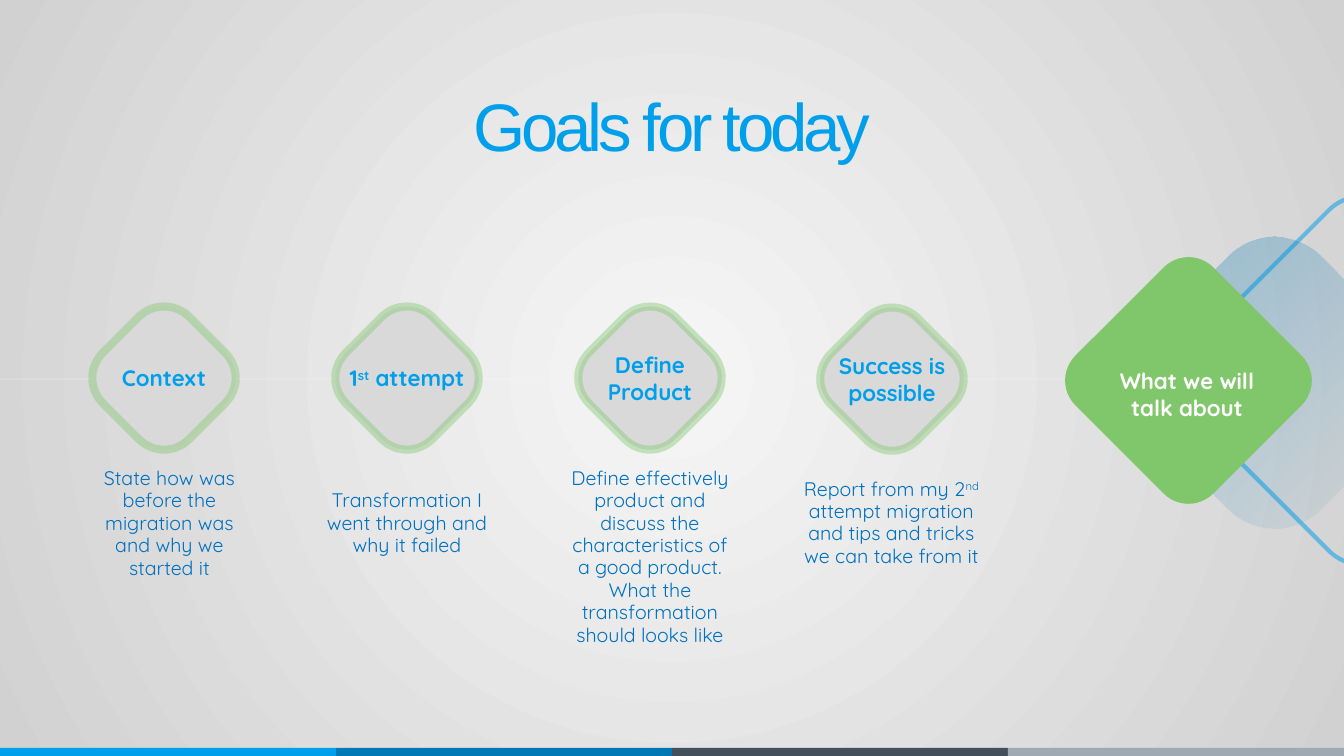
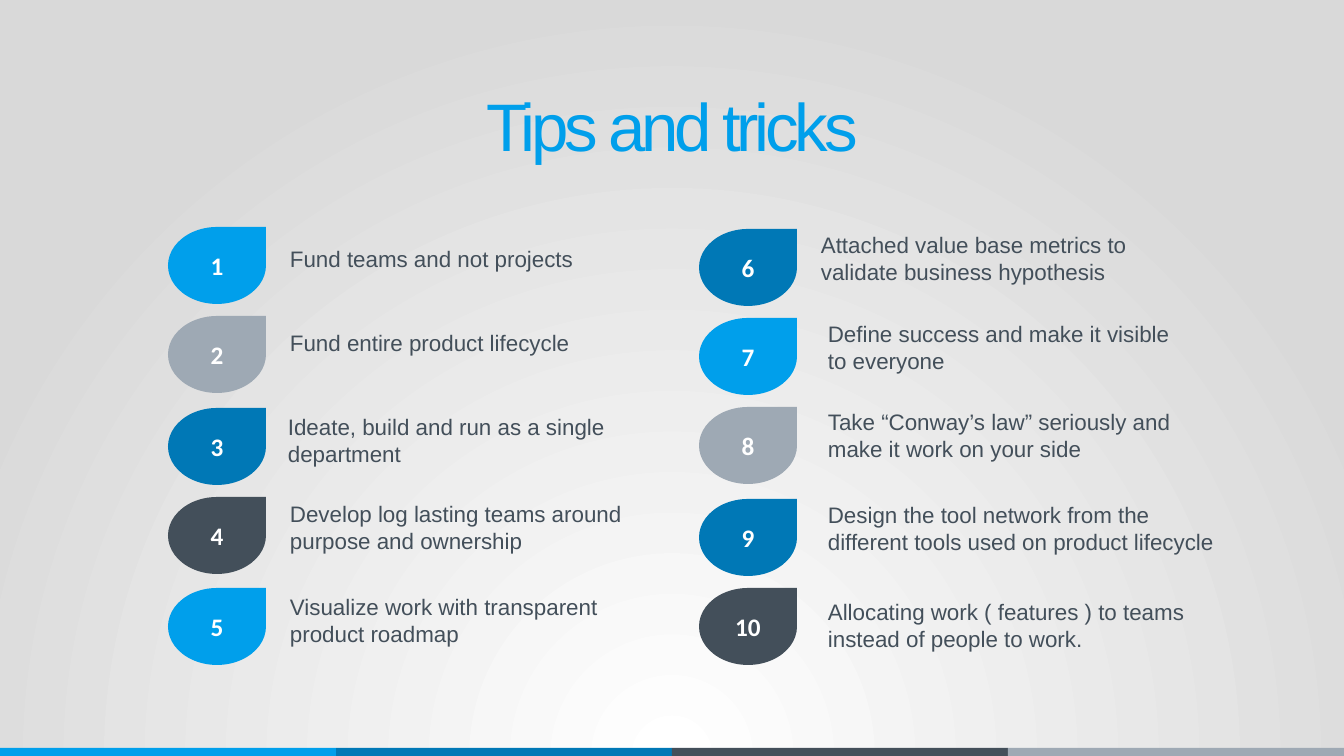
from lxml.etree import SubElement
from pptx import Presentation
from pptx.dml.color import RGBColor
from pptx.enum.shapes import MSO_CONNECTOR, MSO_SHAPE
from pptx.enum.text import MSO_ANCHOR, MSO_AUTO_SIZE, PP_ALIGN
from pptx.oxml.ns import qn
from pptx.util import Emu, Pt

# Shared measures and colours
SLIDE_W, SLIDE_H = 1344, 756
EMU_PER_PX = 12192000 / SLIDE_W
COLORS = {
    "sky": "009FEB", "blue": "0078B6", "slate": "434F5A", "silver": "9EA9B4",
    "green": "7FC76A", "caption": "0070C0", "node": "D9D9D9", "white": "FFFFFF",
    "pale": "F6F6F6", "gray": "D2D1D1", "edge": "D9D9D9",
}
BANDS = ["sky", "blue", "slate", "silver"]

# Goals: node label and centre, then caption left, top, width, height and text;
# ^ marks superscript
NODE_SIZE = 143
GOALS = [
    ("Context", (164, 378), (78, 461, 183, 124),
     "State how was before the migration was and why we started it"),
    ("1^st^ attempt", (407, 378), (298, 484, 218, 78),
     "Transformation I went through and why it failed"),
    ("Define Product", (650, 378), (555, 461, 190, 191),
     "Define effectively product and discuss the characteristics of a good product. "
     "What the transformation should looks like"),
    ("Success is possible", (892, 379), (788, 472, 207, 101),
     "Report from my 2^nd^ attempt migration and tips and tricks we can take from it"),
]

# Tips: drop top and colour, then text left, top, width and wording
DROP_W, DROP_H = 98, 77
TIP_COLUMNS = [
    (168, [
        (227, "sky", 280, 240, 380, "Fund teams and not projects"),
        (316, "silver", 280, 324, 380, "Fund entire product lifecycle"),
        (408, "blue", 278, 408, 367, "Ideate, build and run as a single department"),
        (497, "slate", 280, 495, 380,
         "Develop log lasting teams around purpose and ownership"),
        (588, "sky", 280, 588, 380, "Visualize work with transparent product roadmap"),
    ]),
    (699, [
        (229, "blue", 811, 226, 380,
         "Attached value base metrics to validate business hypothesis"),
        (318, "sky", 818, 315, 380, "Define success and make it visible to everyone"),
        (407, "silver", 818, 403, 380,
         "Take “Conway’s law” seriously and make it work on your side"),
        (499, "blue", 818, 496, 412,
         "Design the tool network from the different tools used on product lifecycle"),
        (588, "slate", 818, 593, 398,
         "Allocating work ( features ) to teams instead of people to work."),
    ]),
]


def px(length):
    return Emu(round(length * EMU_PER_PX))


def box(left, top, width, height):
    return px(left), px(top), px(width), px(height)


def rgb(name):
    return RGBColor.from_string(COLORS[name])


def set_opacity(color_xml, percent):
    SubElement(color_xml, qn("a:alpha"), val=str(percent * 1000))


def set_line(shape, color, width, opacity):
    shape.line.color.rgb = rgb(color)
    shape.line.width = Pt(width)
    set_opacity(shape.element.find(f".//{qn('a:ln')}//{qn('a:srgbClr')}"), opacity)


def set_gradient(fill, start, end):
    fill.gradient()
    for stop, color in zip(fill.gradient_stops, (start, end)):
        stop.color.rgb = rgb(color)


def write(frame, text, size, font, color, bold=False, align=PP_ALIGN.CENTER,
          anchor=MSO_ANCHOR.TOP):
    """Fill a text frame; pieces between ^ signs are raised."""
    frame.word_wrap = True
    frame.auto_size = MSO_AUTO_SIZE.NONE
    frame.vertical_anchor = anchor
    paragraph = frame.paragraphs[0]
    paragraph.alignment = align
    for index, piece in enumerate(text.split("^")):
        run = paragraph.add_run()
        run.text = piece
        run.font.size, run.font.name, run.font.bold = Pt(size), font, bold
        run.font.color.rgb = rgb(color)
        if index % 2:
            run._r.get_or_add_rPr().set("baseline", "30000")
    return paragraph


def add_text(slide, place, *style, **options):
    return write(slide.shapes.add_textbox(*box(*place)).text_frame, *style, **options)


def add_shape(slide, kind, place, color=None):
    shape = slide.shapes.add_shape(kind, *box(*place))
    shape.shadow.inherit = False
    shape.line.fill.background()
    if color:
        shape.fill.solid()
        shape.fill.fore_color.rgb = rgb(color)
    else:
        shape.fill.background()
    return shape


# Shared slide parts
def prepare_layout(layout, slide):
    title = layout.placeholders[0]
    title.left, title.top, title.width, title.height = box(0, 79, SLIDE_W, 92)
    band_w = SLIDE_W // len(BANDS)
    for index, color in enumerate(BANDS):
        band = add_shape(slide, MSO_SHAPE.RECTANGLE, (index * band_w, 748, band_w, 8), color)
        layout.shapes.element.append(band.element)


def set_title(slide, text):
    paragraph = write(slide.shapes.title.text_frame, text, 48, "Arial", "sky")
    for run in paragraph.runs:
        run._r.get_or_add_rPr().set("spc", "-300")


def set_background(slide, center, edge, center_y):
    set_gradient(slide.background.fill, center, edge)
    gradient = slide.element.find(f".//{qn('p:bgPr')}/{qn('a:gradFill')}")
    gradient.remove(gradient.find(qn("a:lin")))
    circle = SubElement(gradient, qn("a:path"))
    circle.set("path", "circle")
    SubElement(circle, qn("a:fillToRect"), l="50000", t=str(center_y * 1000),
               r="50000", b=str((100 - center_y) * 1000))


# Goals slide
def add_turned_square(slide, left, top, size, rounding, rotation=45, color=None):
    square = add_shape(slide, MSO_SHAPE.ROUNDED_RECTANGLE, (left, top, size, size), color)
    square.adjustments[0] = rounding
    square.rotation = rotation
    return square


def diamond_outline(half):
    """List the drawing steps of a diamond with rounded corners around (0, 0)."""
    steps = [("moveTo", [(0, -half)]),
             ("cubicBezTo", [(10, -half), (19, 4 - half), (26, 11 - half)])]
    corner = [(half - 11, -26), (half + 4, -11), (half + 4, 11), (half - 11, 26)]
    for _ in ("right", "bottom", "left"):
        steps += [("lnTo", corner[:1]), ("cubicBezTo", corner[1:])]
        corner = [(-y, x) for x, y in corner]
    steps += [("lnTo", corner[:1]),
              ("cubicBezTo", [(-19, 4 - half), (-10, -half), (0, -half)]), ("close", [])]
    return steps


def add_node(slide, center, label):
    """Draw a rounded diamond that keeps its label upright."""
    half = NODE_SIZE / 2
    x, y = center
    builder = slide.shapes.build_freeform(px(x), px(y - half))
    tips = [(x + half, y), (x, y + half), (x - half, y)]
    builder.add_line_segments([(px(tip_x), px(tip_y)) for tip_x, tip_y in tips])
    node = builder.convert_to_shape()

    # Round the corners with curves
    outline = node.element.find(f".//{qn('a:path')}")
    for step in list(outline):
        outline.remove(step)
    for command, points in diamond_outline(half):
        step = SubElement(outline, qn(f"a:{command}"))
        for point_x, point_y in points:
            SubElement(step, qn("a:pt"), x=str(px(point_x + half)), y=str(px(point_y + half)))

    node.shadow.inherit = False
    node.fill.solid()
    node.fill.fore_color.rgb = rgb("node")
    set_line(node, "green", 5.75, 41)
    write(node.text_frame, label, 16, "Quicksand", "sky", bold=True, anchor=MSO_ANCHOR.MIDDLE)


def add_timeline(slide):
    timeline = slide.shapes.add_connector(
        MSO_CONNECTOR.STRAIGHT, px(0), px(379), px(1070), px(379))
    set_line(timeline, "white", 1, 21)
    SubElement(timeline.element.spPr, qn("a:effectLst"))


def build_goals(slide):
    set_background(slide, "pale", "gray", 50)
    set_title(slide, "Goals for today")
    set_line(add_turned_square(slide, 1218, 237, 287, 0.16), "sky", 3, 52)
    add_timeline(slide)
    for label, center, place, caption in GOALS:
        add_node(slide, center, label)
        paragraph = add_text(slide, place, caption, 14, "Quicksand", "caption",
                             anchor=MSO_ANCHOR.MIDDLE)
        paragraph.line_spacing = Pt(16)

    # Destination of the timeline
    glow = add_turned_square(slide, 1152, 260, 245, 0.265, rotation=225)
    set_gradient(glow.fill, "blue", "blue")
    glow.fill.gradient_angle = 0
    for color_xml, opacity in zip(glow.element.spPr.iter(qn("a:srgbClr")), (0, 34)):
        set_opacity(color_xml, opacity)
    add_turned_square(slide, 1091, 283, 195, 0.18, color="green")
    add_text(slide, (1104, 362, 166, 39), "What we will talk about", 16, "Quicksand",
             "white", bold=True)


# Tips slide
def add_drop(slide, left, top, color, number):
    drop = add_shape(slide, MSO_SHAPE.TEAR, (left, top, DROP_W, DROP_H), color)
    frame = drop.text_frame
    frame.margin_left = frame.margin_right = frame.margin_top = frame.margin_bottom = 0
    write(frame, str(number), 18, "Calibri", "white", bold=True, anchor=MSO_ANCHOR.MIDDLE)


def build_tips(slide):
    set_background(slide, "white", "edge", 130)
    set_title(slide, "Tips and tricks")
    number = 0
    for drop_left, tips in TIP_COLUMNS:
        for drop_top, color, left, top, width, tip in tips:
            number += 1
            add_drop(slide, drop_left, drop_top, color, number)
            add_text(slide, (left, top, width, 64), tip, 16, "Arial", "slate",
                     align=PP_ALIGN.LEFT)


def main():
    deck = Presentation()
    deck.slide_width, deck.slide_height = px(SLIDE_W), px(SLIDE_H)
    layout = deck.slide_layouts[5]
    goals, tips = (deck.slides.add_slide(layout) for _ in range(2))
    prepare_layout(layout, goals)
    build_goals(goals)
    build_tips(tips)
    deck.save("out.pptx")


if __name__ == "__main__":
    main()
